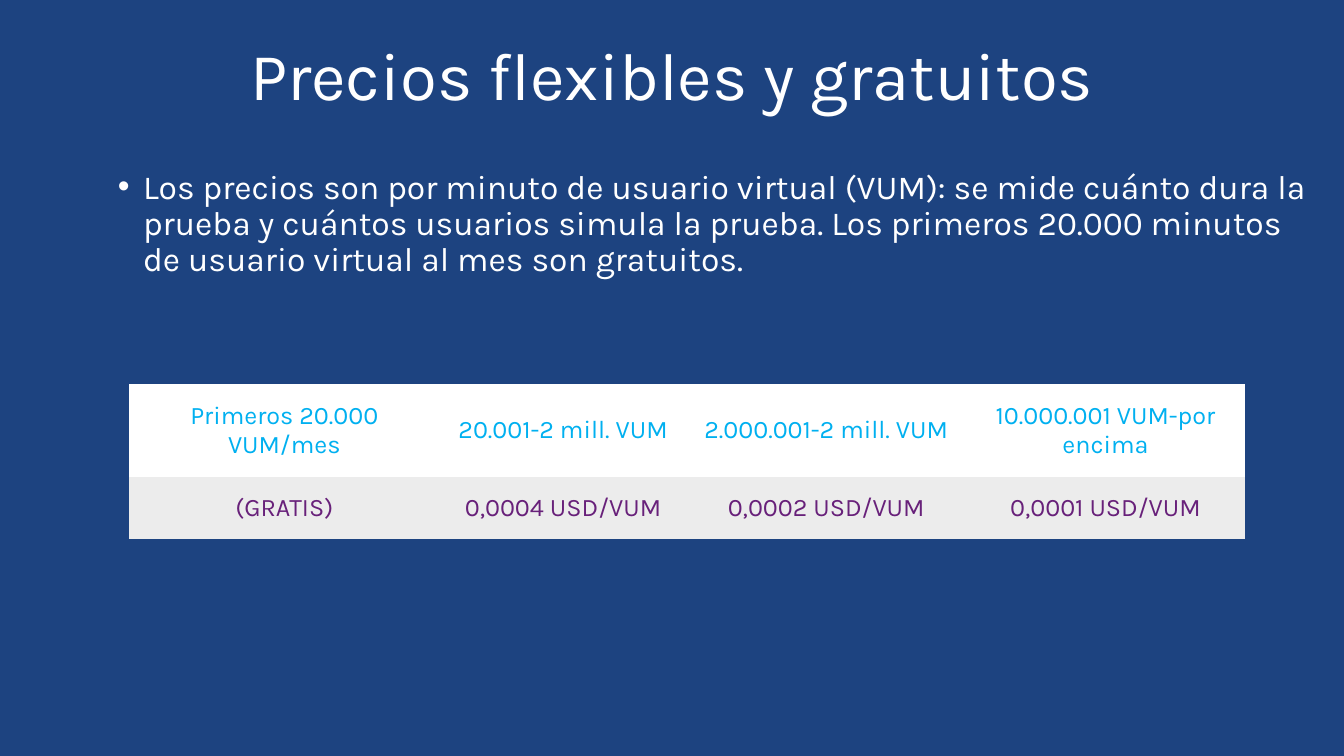
from dataclasses import dataclass

from lxml.etree import SubElement
from pptx import Presentation
from pptx.dml.color import RGBColor
from pptx.enum.text import MSO_ANCHOR, PP_ALIGN
from pptx.oxml.ns import qn
from pptx.util import Inches, Pt


@dataclass(frozen=True)
class Theme:
    font: str = "Karla"
    background: str = "1D4380"
    text: str = "FFFFFF"
    header_text: str = "00B0F0"
    header_fill: str = "FFFFFF"
    price_text: str = "68217A"
    price_fill: str = "ECECEC"
    title_size: int = 48
    body_size: int = 24
    table_size: int = 18


THEME = Theme()
NO_STYLE_NO_GRID = "{2D5ABB26-0587-4C30-8999-92F81FD0307C}"
TITLE = "Precios flexibles y gratuitos"
EXPLANATION = (
    "Los precios son por minuto de usuario virtual (VUM): se mide cuánto dura la "
    "prueba y cuántos usuarios simula la prueba. Los primeros 20.000 minutos de "
    "usuario virtual al mes son gratuitos."
)
PRICES = [
    ("Primeros 20.000 VUM/mes", "(GRATIS)"),
    ("20.001-2 mill. VUM", "0,0004 USD/VUM"),
    ("2.000.001-2 mill. VUM", "0,0002 USD/VUM"),
    ("10.000.001 VUM-por encima", "0,0001 USD/VUM"),
]
COLUMN_WIDTHS = [3.08, 2.45, 2.77, 2.77]
ROW_HEIGHTS = [0.91, 0.61]


def style_font(paragraph, size, color):
    paragraph.font.name = THEME.font
    paragraph.font.size = Pt(size)
    paragraph.font.color.rgb = RGBColor.from_string(color)


def add_text(slide, box, text, size):
    """Add a wrapped text box and return its paragraph."""
    frame = slide.shapes.add_textbox(*map(Inches, box)).text_frame
    frame.word_wrap = True
    paragraph = frame.paragraphs[0]
    paragraph.text = text
    paragraph.line_spacing = 0.9
    style_font(paragraph, size, THEME.text)
    return paragraph


def add_title(slide, box):
    add_text(slide, box, TITLE, THEME.title_size).alignment = PP_ALIGN.CENTER


def add_explanation(slide, box):
    paragraph = add_text(slide, box, EXPLANATION, THEME.body_size)
    paragraph.space_before = Pt(10)
    properties = paragraph._p.get_or_add_pPr()
    properties.set("marL", str(Inches(0.25)))
    properties.set("indent", str(-Inches(0.25)))
    SubElement(properties, qn("a:buFont"), typeface="Arial")
    SubElement(properties, qn("a:buChar"), char="•")


def fill_cell(cell, text, text_color, fill_color):
    cell.fill.solid()
    cell.fill.fore_color.rgb = RGBColor.from_string(fill_color)
    cell.vertical_anchor = MSO_ANCHOR.MIDDLE
    cell.margin_left = cell.margin_right = Inches(0.1)
    cell.margin_top = cell.margin_bottom = Inches(0.16)
    paragraph = cell.text_frame.paragraphs[0]
    paragraph.text = text
    paragraph.alignment = PP_ALIGN.CENTER
    style_font(paragraph, THEME.table_size, text_color)


def add_price_table(slide, left, top):
    size = sum(COLUMN_WIDTHS), sum(ROW_HEIGHTS)
    frame = slide.shapes.add_table(
        len(ROW_HEIGHTS), len(PRICES), *map(Inches, (left, top, *size))
    )
    table = frame.table
    table._tbl.tblPr.find(qn("a:tableStyleId")).text = NO_STYLE_NO_GRID
    for row, height in zip(table.rows, ROW_HEIGHTS):
        row.height = Inches(height)
    for index, (volume, price) in enumerate(PRICES):
        table.columns[index].width = Inches(COLUMN_WIDTHS[index])
        fill_cell(table.cell(0, index), volume, THEME.header_text, THEME.header_fill)
        fill_cell(table.cell(1, index), price, THEME.price_text, THEME.price_fill)


def main():
    presentation = Presentation()
    presentation.slide_width = Inches(13.33)
    presentation.slide_height = Inches(7.5)
    slide = presentation.slides.add_slide(presentation.slide_layouts[6])
    slide.background.fill.solid()
    slide.background.fill.fore_color.rgb = RGBColor.from_string(THEME.background)
    add_title(slide, (0, 0.37, 13.33, 1.05))
    add_explanation(slide, (1.07, 1.64, 12.12, 1.96))
    add_price_table(slide, 1.28, 3.81)
    presentation.save("out.pptx")


if __name__ == "__main__":
    main()
